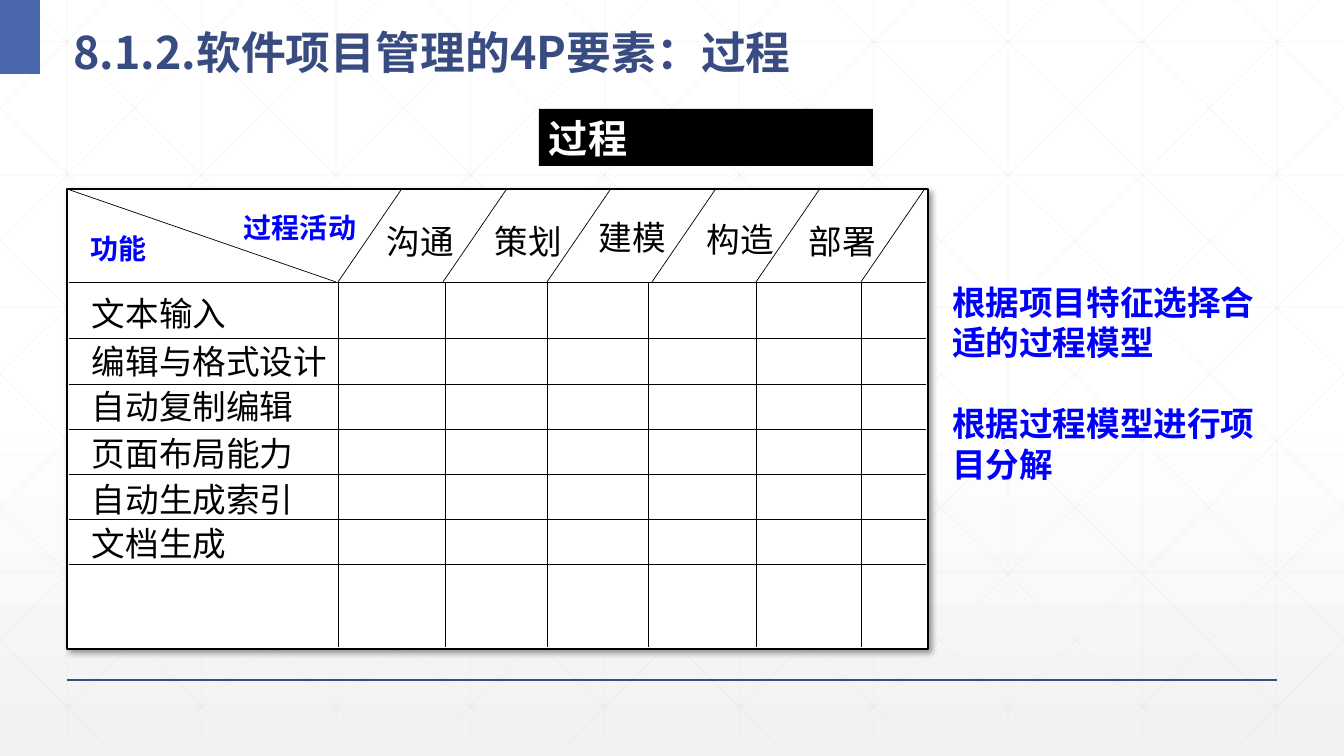
import pptx
import pptx.dml.color
import pptx.enum.shapes
import pptx.enum.text
import pptx.oxml
import pptx.oxml.ns
import pptx.util
from lxml import etree

PX = 914400 / 100.8
WIDTH, HEIGHT = 1344, 756
COLOURS = {
    "navy": "384C81", "accent": "4A66AC", "blue": "0000FF", "black": "000000",
    "white": "FFFFFF", "mist": "F2F2F2", "mesh": "D9D9D9",
}
MESH_STEP, MESH_ROW, MESH_BOTTOM = 134.4, 132.6, 743
MESH_SLOPE = 0.99
ACTIVITIES = [("沟通", 377, 216), ("策划", 485, 216), ("建模", 589, 212),
              ("构造", 697, 214), ("部署", 799, 216)]
FEATURES = ["文本输入", "编辑与格式设计", "自动复制编辑", "页面布局能力", "自动生成索引", "文档生成"]
FEATURE_TOPS = [288, 336, 381, 428, 474, 518]
COLUMN_EDGES = [338, 445, 547, 648, 756, 861]
HEADER_TOP, HEADER_BOTTOM, GRID_BOTTOM = 190, 282, 647
GRID_LEFT, GRID_RIGHT = 69, 926
ADVICE = ["根据项目特征选择合适的过程模型", "根据过程模型进行项目分解"]


def emu(*lengths):
    return [pptx.util.Emu(round(round(length) * PX)) for length in lengths]


def rgb(name):
    return pptx.dml.color.RGBColor.from_string(COLOURS[name])


class SlideBuilder:
    def __init__(self, page):
        self.page = page
        self.font = "Arial"

    def background(self):
        fill = self.page.background.fill
        fill.gradient()
        fill.gradient_angle = 270
        for stop, position, colour in zip(fill.gradient_stops, (0.53, 1), ("white", "mist")):
            stop.position = position
            stop.color.rgb = rgb(colour)

    def line(self, x1, y1, x2, y2, colour="black", width=0.5, opacity=100):
        line = self.page.shapes.add_connector(
            pptx.enum.shapes.MSO_CONNECTOR.STRAIGHT, *emu(x1, y1, x2, y2))
        line.line.color.rgb = rgb(colour)
        line.line.width = pptx.util.Pt(width)
        properties = line._element.spPr
        if opacity < 100:
            tint = properties.find(".//" + pptx.oxml.ns.qn("a:srgbClr"))
            etree.SubElement(tint, pptx.oxml.ns.qn("a:alpha"), val=str(opacity * 1000))
        etree.SubElement(properties, pptx.oxml.ns.qn("a:effectLst"))

    def rectangle(self, x, y, width, height, fill, outline=None):
        box = self.page.shapes.add_shape(
            pptx.enum.shapes.MSO_SHAPE.RECTANGLE, *emu(x, y, width, height))
        box.shadow.inherit = False
        box.fill.solid()
        box.fill.fore_color.rgb = rgb(fill)
        if outline:
            box.line.color.rgb = rgb(outline)
            box.line.width = pptx.util.Pt(1)
        else:
            box.line.fill.background()
        return box

    def drop_shadow(self, box):
        effects = box._element.spPr.find(pptx.oxml.ns.qn("a:effectLst"))
        effects.append(pptx.oxml.parse_xml(
            f'<a:outerShdw {pptx.oxml.ns.nsdecls("a")} blurRad="50800" dist="38100" '
            'dir="2700000" algn="tl" rotWithShape="0">'
            f'<a:srgbClr val="{COLOURS["black"]}"><a:alpha val="40000"/></a:srgbClr>'
            '</a:outerShdw>'))

    def set_text(self, box, lines, size, colour, bold=False, font=None, gap=0, spacing=1.0,
                 wrap=False, anchor="TOP"):
        frame = box.text_frame
        frame.word_wrap = wrap
        frame.auto_size = pptx.enum.text.MSO_AUTO_SIZE.NONE
        frame.vertical_anchor = pptx.enum.text.MSO_ANCHOR[anchor]
        for index, words in enumerate(lines):
            para = frame.add_paragraph() if index else frame.paragraphs[0]
            layout = {"alignment": pptx.enum.text.PP_ALIGN.LEFT, "line_spacing": spacing,
                      "space_before": pptx.util.Pt(gap if index else 0)}
            for name, value in layout.items():
                setattr(para, name, value)
            span = para.add_run()
            span.text = words
            style = {"name": font or self.font, "size": pptx.util.Pt(size), "bold": bold}
            for name, value in style.items():
                setattr(span.font, name, value)
            span.font.color.rgb = rgb(colour)
            etree.SubElement(span._r.rPr, pptx.oxml.ns.qn("a:ea"),
                             typeface=font or self.font)

    def label(self, words, x, y, width, height, size=24, colour="black", bold=False):
        box = self.page.shapes.add_textbox(*emu(x, y, width, height))
        self.set_text(box, [words], size, colour, bold)

    def placeholder(self, index, x, y, width, height, lines, **style):
        """Place a template placeholder in front of what is drawn so far."""
        box = self.page.placeholders[index]
        box.left, box.top, box.width, box.height = emu(x, y, width, height)
        self.page.shapes._spTree.append(box._element)
        self.set_text(box, lines, wrap=True, bold=True, **style)
        for para in box.text_frame.paragraphs:
            properties = para._p.get_or_add_pPr()
            properties.set("marL", "0")
            properties.set("indent", "0")
            etree.SubElement(properties, pptx.oxml.ns.qn("a:buNone"))


def draw_mesh(slide):
    mesh = {"colour": "mesh", "opacity": 25}
    for column in range(10):
        x = 67.2 + MESH_STEP * column
        slide.line(x, 0, x, MESH_BOTTOM, **mesh)
    for row in range(6):
        y = 42 + MESH_ROW * row
        slide.line(0, y, WIDTH, y, **mesh)
    for step in range(-5, 10):
        start = 25 + MESH_STEP * step
        x1 = max(start, 0)
        x2 = min(start + MESH_BOTTOM / MESH_SLOPE, WIDTH)
        y1, y2 = [(x - start) * MESH_SLOPE for x in (x1, x2)]
        slide.line(x1, y1, x2, y2, **mesh)
        slide.line(WIDTH - x1, y1, WIDTH - x2, y2, **mesh)


def draw_matrix(slide):
    slide.drop_shadow(slide.rectangle(67, 189, 861, 460, "white", "black"))
    slide.line(67, 189, 336, HEADER_BOTTOM)
    slide.line(GRID_LEFT, HEADER_BOTTOM, GRID_RIGHT, HEADER_BOTTOM)
    for index, edge in enumerate(COLUMN_EDGES):
        slant = 338 + 104.6 * index
        slide.line(slant + 63, HEADER_TOP, slant, HEADER_BOTTOM)
        slide.line(edge, HEADER_BOTTOM, edge, GRID_BOTTOM)
        y = 338.5 + 45.2 * index
        slide.line(GRID_LEFT, y, GRID_RIGHT, y)
    slide.label("过程活动", 234, 206, 133, 44, 20, "blue", True)
    slide.label("功能", 81, 227, 78, 44, 20, "blue", True)
    for words, x, y in ACTIVITIES:
        slide.label(words, x, y, 89, 50)
    for words, y in zip(FEATURES, FEATURE_TOPS):
        slide.label(words, 82, y, 20 + 34 * len(words), 50)


def main():
    deck = pptx.Presentation()
    deck.slide_width, deck.slide_height = emu(WIDTH, HEIGHT)
    slide = SlideBuilder(deck.slides.add_slide(deck.slide_layouts[1]))
    slide.background()
    draw_mesh(slide)
    slide.line(67, 680, 1277, 680, "navy", 1)
    slide.rectangle(0, 0, 40, 74, "accent")
    slide.placeholder(0, 63, 7, 1203, 74, ["8.1.2.软件项目管理的4P要素：过程"], size=32,
                      colour="navy", font="Noto Sans CJK SC", spacing=1.3, anchor="MIDDLE")
    banner = slide.rectangle(539, 109, 334, 57, "black")
    slide.set_text(banner, ["过程"], 28, "white", True)
    draw_matrix(slide)
    slide.placeholder(1, 942, 277, 342, 214, ADVICE, size=24, colour="blue", gap=29)
    deck.save("out.pptx")


if __name__ == "__main__":
    main()
